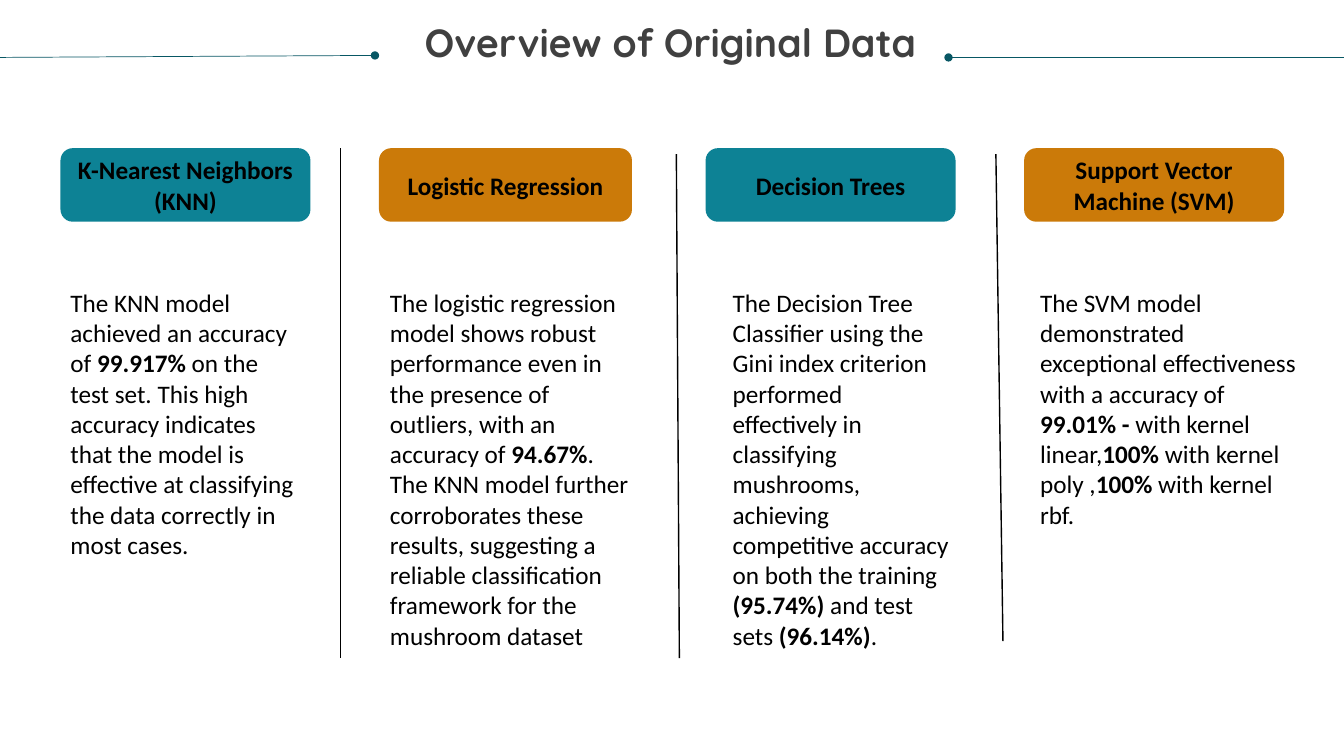
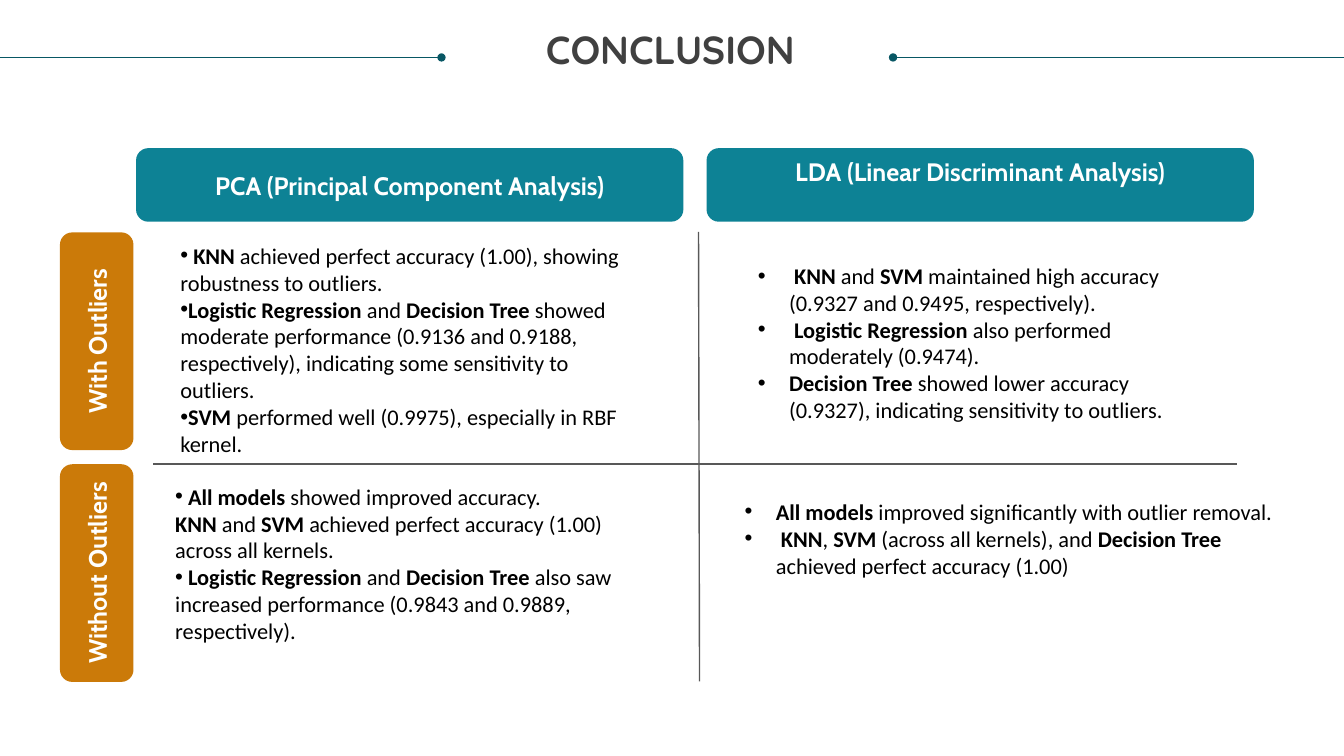
from dataclasses import dataclass

import lxml.etree
import pptx
import pptx.dml.color
import pptx.enum.shapes
import pptx.enum.text
import pptx.oxml.ns
import pptx.util

RGBColor = pptx.dml.color.RGBColor
Align = pptx.enum.text.PP_ALIGN
Anchor = pptx.enum.text.MSO_ANCHOR

# Shared style: the slide is a grid of 40 columns by 22.5 rows of square cells
COLUMNS, ROWS = 40, 22.5
CELL = pptx.util.Inches(1 / 3)
TEAL = RGBColor(0x0D, 0x82, 0x95)
DARK_TEAL = RGBColor(0x08, 0x57, 0x64)
ORANGE = RGBColor(0xCB, 0x7A, 0x09)
CHARCOAL = RGBColor(0x40, 0x40, 0x40)
GREY = RGBColor(0x58, 0x58, 0x58)
BLACK = RGBColor(0, 0, 0)
WHITE = RGBColor(0xFF, 0xFF, 0xFF)
TITLE_FONT, HEADING_FONT, BODY_FONT = "Quicksand", "Cabin", "Calibri"
RULE_ROW = 1.71
HEADER_ROW, HEADER_HEIGHT = 4.41, 2.19
HANGING = pptx.util.Inches(0.31)


@dataclass(frozen=True)
class Box:
    left: float
    top: float
    width: float
    height: float

    def emu(self) -> list[int]:
        return [cells(v) for v in (self.left, self.top, self.width, self.height)]


@dataclass(frozen=True)
class Line:
    start: tuple[float, float]
    end: tuple[float, float]
    color: RGBColor = BLACK
    weight: float = 1
    dot: bool = False


@dataclass(frozen=True)
class Label:
    text: str
    box: Box
    fill: RGBColor
    color: RGBColor = WHITE
    font: str = HEADING_FONT
    rotation: int = 0
    anchor: Anchor = Anchor.MIDDLE


@dataclass(frozen=True)
class Passage:
    """Text lines; ** marks bold, and a leading • makes a bullet."""
    box: Box
    lines: tuple[str, ...]
    size: int = 16
    hanging: bool = False
    inset: bool = True


@dataclass(frozen=True)
class Model:
    name: str
    fill: RGBColor
    header_left: float
    header_width: float
    text_left: float
    text_width: float
    text_height: float
    text: str


def cells(count: float) -> int:
    return round(count * CELL)


def style(run, font: str, size: int, color: RGBColor, bold: bool) -> None:
    run.font.name = font
    run.font.size = pptx.util.Pt(size)
    run.font.color.rgb = color
    run.font.bold = bold


def clear_insets(frame) -> None:
    frame.margin_left = frame.margin_right = 0
    frame.margin_top = frame.margin_bottom = 0


def draw_line(slide, line: Line) -> None:
    connector = slide.shapes.add_connector(
        pptx.enum.shapes.MSO_CONNECTOR.STRAIGHT,
        *(cells(v) for v in line.start + line.end))
    connector.line.color.rgb = line.color
    connector.line.width = pptx.util.Pt(line.weight)
    qn = pptx.oxml.ns.qn
    if line.dot:
        outline = connector.line._get_or_add_ln()
        lxml.etree.SubElement(outline, qn("a:tailEnd"), type="oval")
    lxml.etree.SubElement(connector._element.spPr, qn("a:effectLst"))


def draw_label(slide, label: Label) -> None:
    shape = slide.shapes.add_shape(
        pptx.enum.shapes.MSO_SHAPE.ROUNDED_RECTANGLE, *label.box.emu())
    shape.shadow.inherit = False
    shape.fill.solid()
    shape.fill.fore_color.rgb = label.fill
    shape.line.fill.background()
    shape.rotation = label.rotation
    frame = shape.text_frame
    frame.word_wrap = True
    frame.vertical_anchor = label.anchor
    frame.text = label.text
    paragraph = frame.paragraphs[0]
    paragraph.alignment = Align.CENTER
    style(paragraph.runs[0], label.font, 18, label.color, True)


def add_bullet(paragraph, hanging: bool) -> None:
    qn = pptx.oxml.ns.qn
    properties = paragraph._p.get_or_add_pPr()
    indent = HANGING if hanging else 0
    properties.set("marL", str(indent))
    properties.set("indent", str(-indent))
    lxml.etree.SubElement(properties, qn("a:buFont"), typeface="Arial")
    lxml.etree.SubElement(properties, qn("a:buChar"), char="•")


def draw_passage(slide, passage: Passage) -> None:
    frame = slide.shapes.add_textbox(*passage.box.emu()).text_frame
    frame.word_wrap = True
    if not passage.inset:
        clear_insets(frame)
    for index, line in enumerate(passage.lines):
        paragraph = frame.add_paragraph() if index else frame.paragraphs[0]
        if line.startswith("•"):
            add_bullet(paragraph, passage.hanging)
        for part, text in enumerate(line.removeprefix("•").split("**")):
            if text:
                run = paragraph.add_run()
                run.text = text
                style(run, BODY_FONT, passage.size, BLACK, part % 2 == 1)


def add_titled_slide(presentation, title: str, top: float,
                     left_end: tuple[float, float], right_end: float):
    """Add a blank slide with a title between two dotted rules."""
    slide = presentation.slides.add_slide(presentation.slide_layouts[6])
    box = Box(0.75, top, 38.4, 2.19)
    frame = slide.shapes.add_textbox(*box.emu()).text_frame
    frame.word_wrap = True
    clear_insets(frame)
    frame.text = title
    paragraph = frame.paragraphs[0]
    paragraph.alignment = Align.CENTER
    paragraph.line_spacing = 0.9
    style(paragraph.runs[0], TITLE_FONT, 28, CHARCOAL, True)
    for edge, end in ((0, left_end), (COLUMNS, (right_end, RULE_ROW))):
        draw_line(slide, Line((edge, RULE_ROW), end, DARK_TEAL, 0.5, dot=True))
    return slide


# Slide 1: one column per model
MODELS = (
    Model("K-Nearest Neighbors (KNN)", TEAL, 1.8, 7.44, 1.8, 7.44, 9.39,
          "The KNN model achieved an accuracy of **99.917%** on the test set. "
          "This high accuracy indicates that the model is effective at "
          "classifying the data correctly in most cases."),
    Model("Logistic Regression", ORANGE, 11.28, 7.53, 11.31, 7.83, 12.12,
          "The logistic regression model shows robust performance even in the "
          "presence of outliers, with an accuracy of **94.67%**. The KNN model "
          "further corroborates these results, suggesting a reliable "
          "classification framework for the mushroom dataset"),
    Model("Decision Trees", TEAL, 21, 7.44, 21.51, 7.05, 11.22,
          "The Decision Tree Classifier using the Gini index criterion "
          "performed effectively in classifying mushrooms, achieving "
          "competitive accuracy on both the training **(95.74%) **and test "
          "sets **(96.14%)**."),
    Model("Support Vector Machine (SVM)", ORANGE, 30.48, 7.74, 30.66, 8.43, 8.49,
          "The SVM model demonstrated exceptional effectiveness with a "
          "accuracy of **99.01% - **with kernel linear,**100% **with kernel "
          "poly ,**100% **with kernel rbf."),
)
MODEL_DIVIDERS = (
    Line((10.14, 4.41), (10.14, 19.59)),
    Line((20.13, 4.59), (20.22, 19.59)),
    Line((29.64, 4.59), (29.85, 19.08)),
)

# Slide 2: methods across, outlier treatment down
METHODS = (
    ("PCA (Principal Component Analysis)", 4.05, Anchor.MIDDLE),
    ("LDA (Linear Discriminant Analysis)", 21.03, Anchor.TOP),
)
TREATMENTS = (("With Outliers", 9.06), ("Without Outliers", 15.96))
CROSS = (
    Line((4.56, 13.8), (36.81, 13.8), GREY, 1.25),
    Line((20.79, 6.9), (20.82, 20.28), GREY),
)
FINDINGS = (
    Passage(Box(5.37, 7.2, 13.44, 6.66), (
        "• **KNN** achieved perfect accuracy (1.00), showing robustness to "
        "outliers.",
        "•**Logistic Regression** and **Decision Tree** showed moderate "
        "performance (0.9136 and 0.9188, respectively), indicating some "
        "sensitivity to outliers.",
        "•**SVM** performed well (0.9975), especially in RBF kernel.",
    ), inset=False),
    Passage(Box(22.26, 7.65, 13.44, 5.16), (
        "• **KNN** and **SVM** maintained high accuracy (0.9327 and 0.9495, "
        "respectively).",
        "• **Logistic Regression** also performed moderately (0.9474).",
        "•**Decision Tree** showed lower accuracy (0.9327), indicating "
        "sensitivity to outliers.",
    ), hanging=True),
    Passage(Box(4.92, 14.22, 14.25, 5.16), (
        "• **All models** showed improved accuracy.",
        "**KNN** and **SVM** achieved perfect accuracy (1.00) across all "
        "kernels.",
        "•** Logistic Regression** and **Decision Tree** also saw increased "
        "performance (0.9843 and 0.9889, respectively).",
    )),
    Passage(Box(21.87, 14.67, 16.32, 3.54), (
        "•**All models** improved significantly with outlier removal.",
        "• **KNN**, **SVM** (across all kernels), and **Decision Tree** "
        "achieved perfect accuracy (1.00)",
    ), hanging=True),
)


def build_overview(presentation) -> None:
    slide = add_titled_slide(presentation, "Overview of Original Data", 0.69,
                             (11.16, 1.65), 28.23)
    for model in MODELS:
        header = Box(model.header_left, HEADER_ROW, model.header_width, HEADER_HEIGHT)
        draw_label(slide, Label(model.name, header, model.fill, BLACK, BODY_FONT))
        body = Box(model.text_left, 8.4, model.text_width, model.text_height)
        draw_passage(slide, Passage(body, (model.text,), size=18))
    for divider in MODEL_DIVIDERS:
        draw_line(slide, divider)


def build_conclusion(presentation) -> None:
    slide = add_titled_slide(presentation, "CONCLUSION", 0.9,
                             (13.14, RULE_ROW), 26.58)
    for name, left, anchor in METHODS:
        box = Box(left, HEADER_ROW, 16.29, HEADER_HEIGHT)
        draw_label(slide, Label(name, box, TEAL, anchor=anchor))
    for name, top in TREATMENTS:
        box = Box(-0.36, top, 6.48, HEADER_HEIGHT)
        draw_label(slide, Label(name, box, ORANGE, rotation=270))
    for line in CROSS:
        draw_line(slide, line)
    for finding in FINDINGS:
        draw_passage(slide, finding)


def main() -> None:
    presentation = pptx.Presentation()
    presentation.slide_width = cells(COLUMNS)
    presentation.slide_height = cells(ROWS)
    build_overview(presentation)
    build_conclusion(presentation)
    presentation.save("out.pptx")


if __name__ == "__main__":
    main()
